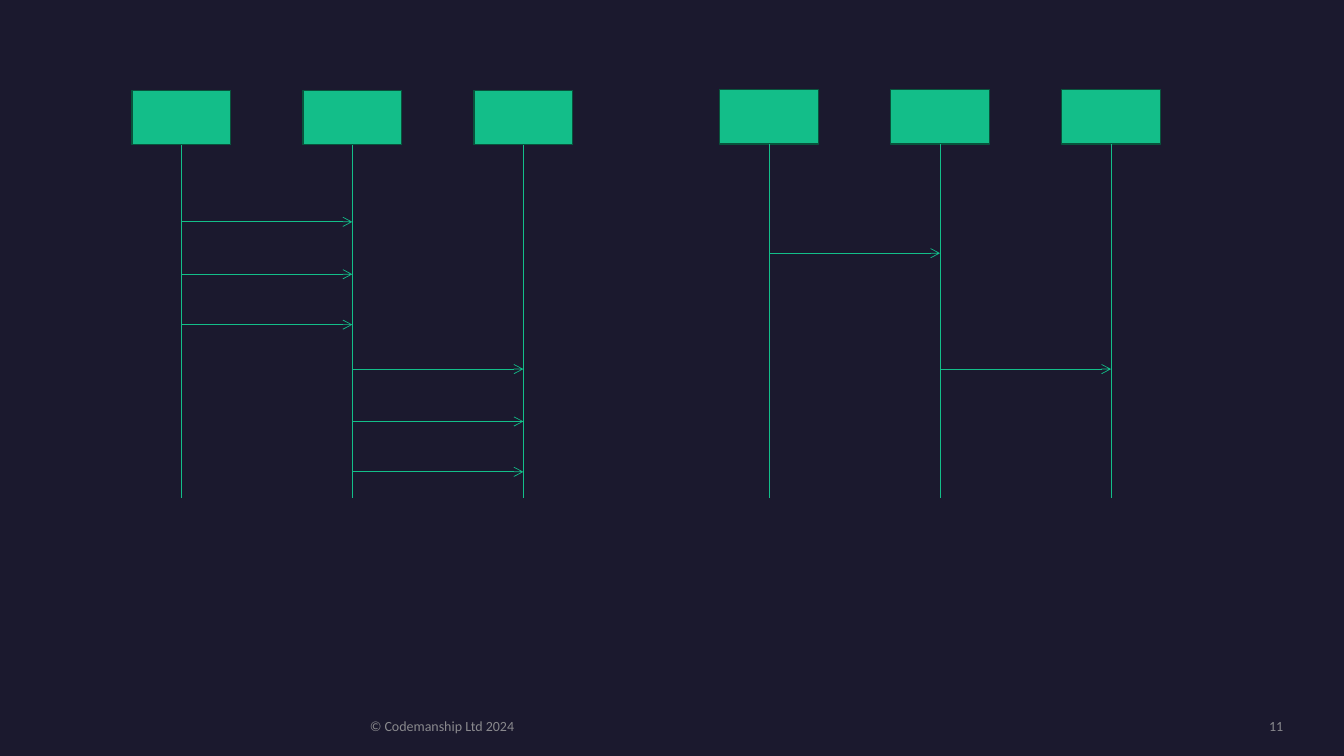
import lxml.etree
import pptx
import pptx.dml.color
import pptx.enum.shapes
import pptx.enum.text
import pptx.oxml.ns
import pptx.util
from pptx.util import Cm

RGBColor = pptx.dml.color.RGBColor
ALIGN = pptx.enum.text.PP_ALIGN
qn = pptx.oxml.ns.qn

NIGHT = RGBColor(0x1B, 0x19, 0x2E)
GREEN = RGBColor(0x13, 0xBE, 0x89)
DARK_GREEN = RGBColor(0x08, 0x53, 0x3C)
GREY = RGBColor(0xA6, 0xA6, 0xA6)

# Sequence diagram measures, in centimetres
PITCH = 4.31
BOX_WIDTH, BOX_HEIGHT = 2.49, 1.37
LIFELINE_LENGTH = 8.91


class SequenceSlide:
    font_name = "Calibri"
    font_size = pptx.util.Pt(10)
    line_width = pptx.util.Pt(0.5)
    border_width = pptx.util.Pt(1)

    def __init__(self, slide):
        self.slide = slide
        slide.background.fill.solid()
        slide.background.fill.fore_color.rgb = NIGHT

    def participant(self, center, top):
        box = self.slide.shapes.add_shape(
            pptx.enum.shapes.MSO_SHAPE.RECTANGLE,
            Cm(center - BOX_WIDTH / 2), Cm(top), Cm(BOX_WIDTH), Cm(BOX_HEIGHT))
        box.shadow.inherit = False
        box.fill.solid()
        box.fill.fore_color.rgb = GREEN
        box.line.color.rgb = DARK_GREEN
        box.line.width = self.border_width

    def line(self, x1, y1, x2, y2, arrow=False):
        connector = self.slide.shapes.add_connector(
            pptx.enum.shapes.MSO_CONNECTOR.STRAIGHT, Cm(x1), Cm(y1), Cm(x2), Cm(y2))
        connector.line.color.rgb = GREEN
        connector.line.width = self.line_width
        properties = connector._element.spPr
        lxml.etree.SubElement(properties, qn("a:effectLst"))
        if arrow:
            outline = properties.find(qn("a:ln"))
            lxml.etree.SubElement(outline, qn("a:tailEnd"), type="arrow")

    def diagram(self, left, top, messages):
        """Draw three participants; messages are (sender index, height) pairs."""
        centers = [left + PITCH * i for i in range(3)]
        lifeline_top = top + BOX_HEIGHT
        for center in centers:
            self.participant(center, top)
            self.line(center, lifeline_top, center, lifeline_top + LIFELINE_LENGTH)
        for sender, y in messages:
            self.line(centers[sender], y, centers[sender + 1], y, arrow=True)

    def footer(self, text, left, width, alignment):
        frame = self.slide.shapes.add_textbox(
            Cm(left), Cm(18.08), Cm(width), Cm(0.43)).text_frame
        frame.word_wrap = True
        frame.vertical_anchor = pptx.enum.text.MSO_ANCHOR.MIDDLE
        frame.margin_left = frame.margin_right = 0
        frame.margin_top = frame.margin_bottom = 0
        paragraph = frame.paragraphs[0]
        paragraph.text = text
        paragraph.alignment = alignment
        paragraph.font.name = self.font_name
        paragraph.font.size = self.font_size
        paragraph.font.color.rgb = GREY
        # Soften the text to 80 % opacity
        color = paragraph._p.find(".//" + qn("a:srgbClr"))
        lxml.etree.SubElement(color, qn("a:alpha"), val="80000")


def main():
    presentation = pptx.Presentation()
    presentation.slide_width = Cm(33.87)
    presentation.slide_height = Cm(19.05)
    page = SequenceSlide(presentation.slides.add_slide(presentation.slide_layouts[6]))

    # Chatty version: three messages at each step
    message_heights = (5.59, 6.91, 8.18)
    step_drop = 3.71
    chatty = [(sender, y + sender * step_drop)
              for sender in range(2) for y in message_heights]
    page.diagram(4.57, 2.28, chatty)

    # Concise version: one message at each step
    page.diagram(19.38, 2.26, [(0, 6.38), (1, 9.3)])

    # Footer
    page.footer("© Codemanship Ltd 2024", 9.32, 17.73, ALIGN.LEFT)
    page.footer("11", 27.64, 4.7, ALIGN.RIGHT)

    presentation.save("out.pptx")


if __name__ == "__main__":
    main()
